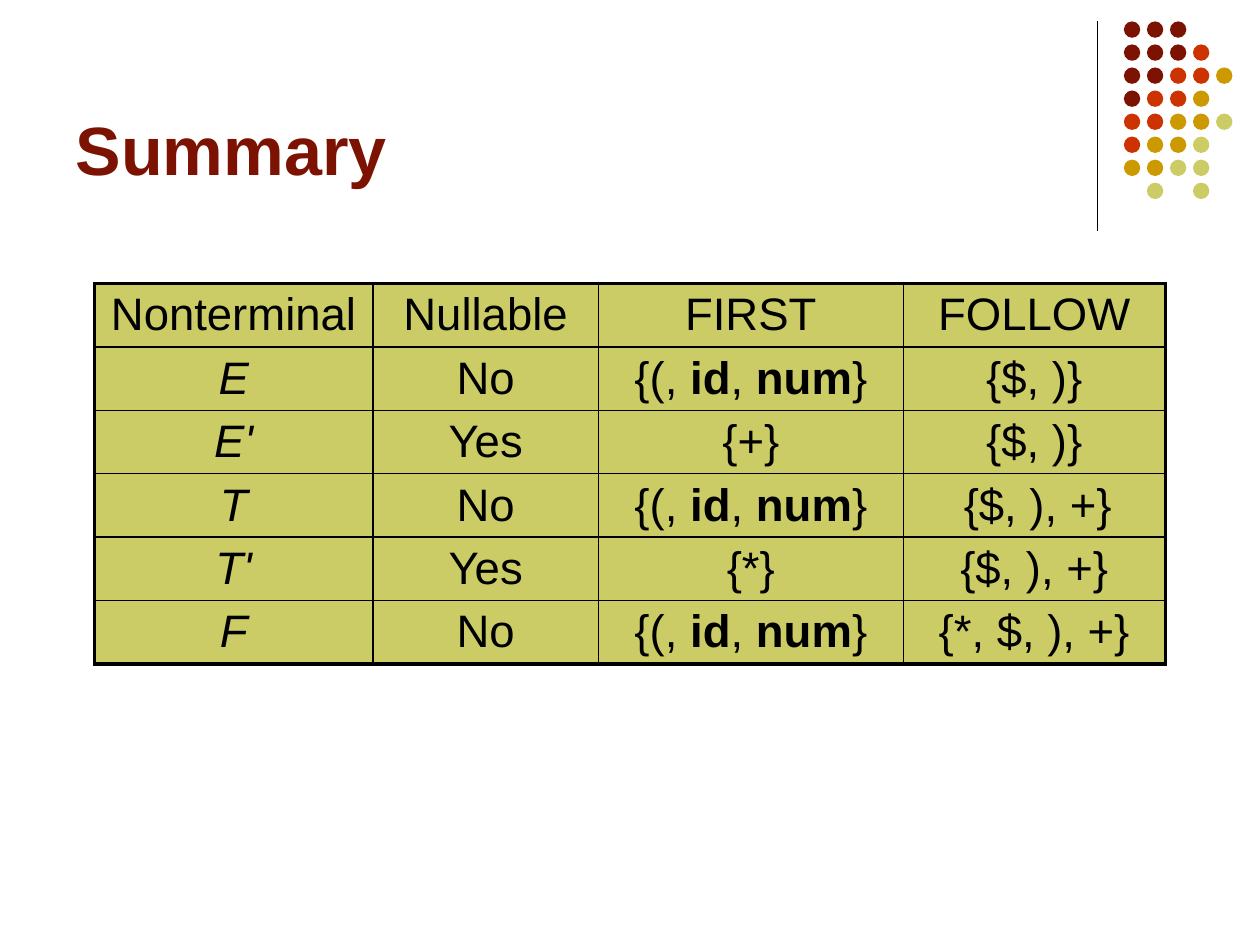
from lxml import etree
from pptx import Presentation
from pptx import util as u
from pptx.dml.color import RGBColor
from pptx.enum import shapes, text
from pptx.oxml import ns

COLORS = {
    "maroon": "7C1302",
    "red": "CC3300",
    "gold": "CC9900",
    "olive": "CCCC66",
    "black": "000000",
}
DOT_COLORS = {"M": "maroon", "R": "red", "G": "gold", "O": "olive"}
DOT_ROWS = ["MMM", "MMMR", "MMRRG", "MRRG", "RRGGO", "RGGO", "GGOO", " O O"]
DOT_LEFT, DOT_TOP, DOT_SIZE, DOT_PITCH = 8.92, 0.17, 0.13, 1.28 / 7

BOLD_MARK = "_"
TERMINALS = "{(, _id_, _num_}"
TABLE_ROWS = [
    ["Nonterminal", "Nullable", "FIRST", "FOLLOW"],
    ["E", "No", TERMINALS, "{$, )}"],
    ["E'", "Yes", "{+}", "{$, )}"],
    ["T", "No", TERMINALS, "{$, ), +}"],
    ["T'", "Yes", "{*}", "{$, ), +}"],
    ["F", "No", TERMINALS, "{*, $, ), +}"],
]
COLUMN_WIDTHS = [2.21, 1.79, 2.42, 2.08]
ROW_HEIGHT = 3.02 / len(TABLE_ROWS)
INDENTED_CELL = (3, 3)


def color(name):
    return RGBColor.from_string(COLORS[name])


def apply_format(target, values):
    for name, value in values.items():
        setattr(target, name, value)


def add_span(para, words, size, color_name, **values):
    span = para.add_run()
    span.text = words
    apply_format(span.font, {"name": "Arial", "size": u.Pt(size), **values})
    span.font.color.rgb = color(color_name)


def add_title(page, words):
    box = page.shapes.title
    apply_format(box, {
        "left": u.Inches(0.5), "top": u.Inches(0.13),
        "width": u.Inches(8.25), "height": u.Inches(1.42),
    })
    apply_format(box.text_frame, {
        "vertical_anchor": text.MSO_ANCHOR.BOTTOM,
        "auto_size": text.MSO_AUTO_SIZE.NONE,
        "word_wrap": True,
    })
    para = box.text_frame.paragraphs[0]
    para.alignment = text.PP_ALIGN.LEFT
    add_span(para, words, 39, "maroon", bold=True)


def add_divider(page):
    ends = [u.Inches(value) for value in (8.71, 0.17, 8.71, 1.83)]
    line = page.shapes.add_connector(shapes.MSO_CONNECTOR.STRAIGHT, *ends)
    line.line.color.rgb = color("black")
    line.line.width = u.Pt(0.75)
    etree.SubElement(line._element.spPr, ns.qn("a:effectLst"))


def add_dots(page):
    group = page.shapes.add_group_shape()
    for row, letters in enumerate(DOT_ROWS):
        for column, letter in enumerate(letters):
            if letter == " ":
                continue
            dot = group.shapes.add_shape(
                shapes.MSO_SHAPE.OVAL,
                u.Inches(DOT_LEFT + column * DOT_PITCH),
                u.Inches(DOT_TOP + row * DOT_PITCH),
                u.Inches(DOT_SIZE), u.Inches(DOT_SIZE),
            )
            dot.shadow.inherit = False
            dot.fill.solid()
            dot.fill.fore_color.rgb = color(DOT_COLORS[letter])
            dot.line.fill.background()


def set_borders(cell, outer_sides):
    properties = cell._tc.get_or_add_tcPr()
    for index, side in enumerate(("lnL", "lnR", "lnT", "lnB")):
        width = u.Pt(2.25 if side in outer_sides else 1)
        border = etree.Element(ns.qn(f"a:{side}"), w=str(width))
        fill = etree.SubElement(border, ns.qn("a:solidFill"))
        etree.SubElement(fill, ns.qn("a:srgbClr"), val=COLORS["black"])
        properties.insert(index, border)


def fill_cell(cell, words, italic, indented):
    cell.fill.solid()
    cell.fill.fore_color.rgb = color("olive")
    apply_format(cell, {
        "vertical_anchor": text.MSO_ANCHOR.MIDDLE,
        "margin_left": u.Inches(0.48 if indented else 0.1),
        "margin_top": u.Inches(0.04),
        "margin_bottom": u.Inches(0.04),
    })
    para = cell.text_frame.paragraphs[0]
    para.alignment = text.PP_ALIGN.LEFT if indented else text.PP_ALIGN.CENTER
    for index, part in enumerate(words.split(BOLD_MARK)):
        add_span(para, part, 26, "black", bold=index % 2 == 1, italic=italic)


def add_summary_table(page):
    last_row, last_column = len(TABLE_ROWS) - 1, len(COLUMN_WIDTHS) - 1
    table = page.shapes.add_table(
        last_row + 1, last_column + 1, u.Inches(0.75), u.Inches(2.25),
        u.Inches(sum(COLUMN_WIDTHS)), u.Inches(ROW_HEIGHT * len(TABLE_ROWS)),
    ).table
    for column, width in zip(table.columns, COLUMN_WIDTHS):
        column.width = u.Inches(width)
    for row, entries in enumerate(TABLE_ROWS):
        table.rows[row].height = u.Inches(ROW_HEIGHT)
        for column, words in enumerate(entries):
            cell = table.cell(row, column)
            fill_cell(cell, words, row > 0 and column == 0,
                      (row, column) == INDENTED_CELL)
            edges = {"lnL": column == 0, "lnR": column == last_column,
                     "lnT": row == 0, "lnB": row == last_row}
            set_borders(cell, [side for side, outer in edges.items() if outer])


def main():
    deck = Presentation()
    apply_format(deck, {"slide_width": u.Inches(10), "slide_height": u.Inches(7.5)})
    page = deck.slides.add_slide(deck.slide_layouts.get_by_name("Title Only"))
    add_divider(page)
    add_dots(page)
    add_title(page, "Summary")
    add_summary_table(page)
    deck.save("out.pptx")


if __name__ == "__main__":
    main()
